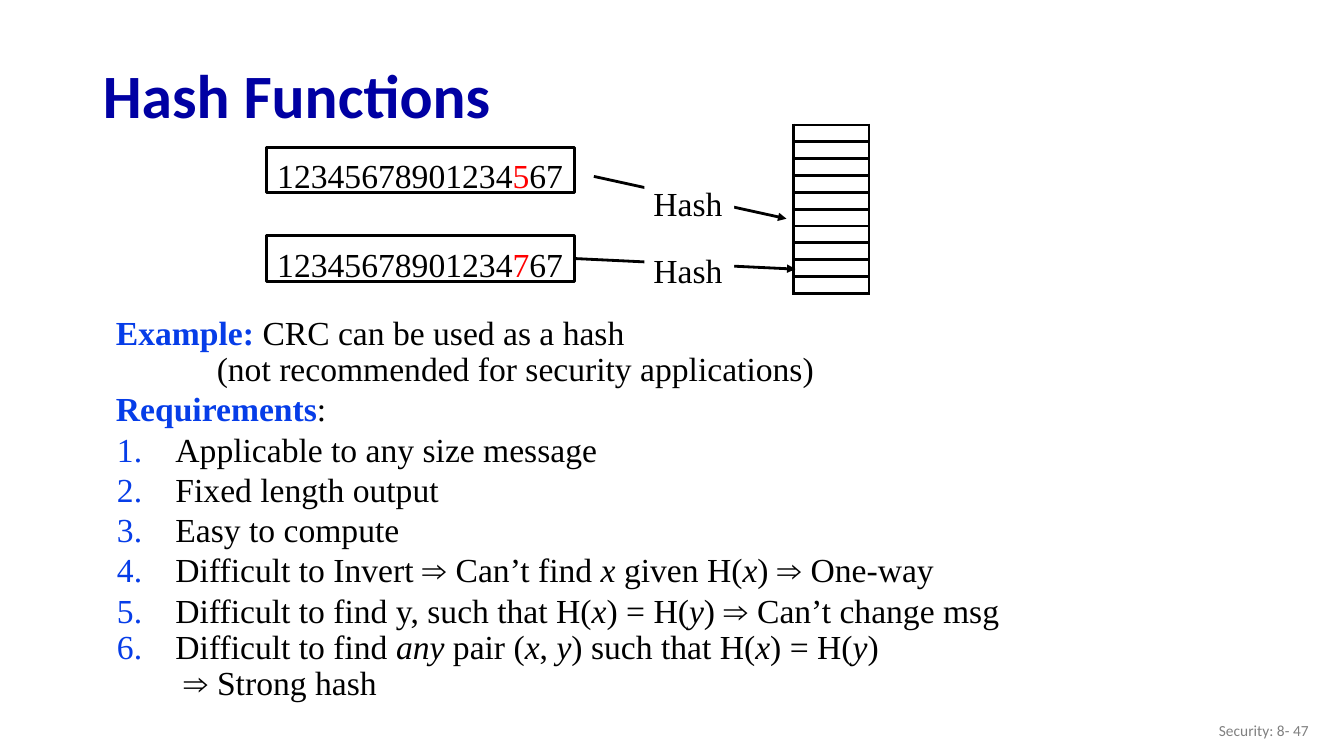
import pptx
import pptx.util
import pptx.dml.color
import pptx.enum.shapes
import pptx.enum.text
import pptx.oxml.ns
from lxml import etree

Inches, Pt = pptx.util.Inches, pptx.util.Pt
WIDTH, HEIGHT = 13.33, 7.5
BLACK, WHITE, NAVY, BLUE, RED, GRAY = "000000", "FFFFFF", "0000A3", "063DE8", "FF0000", "808080"
SERIF, SANS, SYMBOL = "Times New Roman", "Calibri", "Arial"
STYLES = {
    "plain": (SERIF, BLACK, False, False),
    "label": (SERIF, BLUE, True, False),
    "italic": (SERIF, BLACK, False, True),
    "red": (SERIF, RED, False, False),
    "symbol": (SYMBOL, BLACK, False, False),
}
EXAMPLE = [
    ([("Example: ", "label"), ("CRC can be used as a hash", "plain")], 0.01, 25.9),
    ([("(not recommended for security applications)", "plain")], 1.01, 25.9),
    ([("Requirements", "label"), (":", "plain")], 0.01, 28.8),
]
REQUIREMENTS = [
    ([("Applicable to any size message", "plain")], 28.8),
    ([("Fixed length output", "plain")], 28.8),
    ([("Easy to compute", "plain")], 28.8),
    ([("Difficult to Invert ", "plain"), ("⇒ ", "symbol"), ("Can’t find ", "plain"), ("x ", "italic"),
      ("given H(", "plain"), ("x", "italic"), (") ", "plain"), ("⇒ ", "symbol"), ("One-way", "plain")], 28.8),
    ([("Difficult to find y, such that H(", "plain"), ("x", "italic"), (") = H(", "plain"), ("y", "italic"),
      (") ", "plain"), ("⇒ ", "symbol"), ("Can’t change msg", "plain")], 28.8),
    ([("Difficult to find ", "plain"), ("any ", "italic"), ("pair (", "plain"), ("x", "italic"),
      (", ", "plain"), ("y", "italic"), (") such that H(", "plain"), ("x", "italic"),
      (") = H(", "plain"), ("y", "italic"), (")", "plain")], 25.9),
]
CONCLUSION = [("⇒ ", "symbol"), ("Strong hash", "plain")]


def color(value):
    """Return the colour for a hex string."""
    return pptx.dml.color.RGBColor.from_string(value)


def add_element(parent, tag, **attributes):
    """Append a DrawingML element to a parent."""
    return etree.SubElement(parent, pptx.oxml.ns.qn("a:" + tag), attributes)


def format_run(run, size, font, fill, bold=False, italic=False):
    """Give a run its size, font, colour and weight."""
    run.font.size, run.font.name = Pt(size), font
    run.font.bold, run.font.italic = bold, italic
    run.font.color.rgb = color(fill)


def write_runs(paragraph, runs, indent=0, spacing=None):
    """Write styled runs into a left-aligned paragraph."""
    paragraph.alignment = pptx.enum.text.PP_ALIGN.LEFT
    paragraph._p.get_or_add_pPr().set("marL", str(Inches(indent)))
    if spacing:
        paragraph.line_spacing = Pt(spacing)
    for text, style in runs:
        run = paragraph.add_run()
        run.text = text
        format_run(run, 24, *STYLES[style])


def set_frame(shape, left=0, top=0):
    """Wrap a shape's text at the top with the given insets."""
    frame = shape.text_frame
    frame.word_wrap = True
    frame.vertical_anchor = pptx.enum.text.MSO_ANCHOR.TOP
    frame.margin_left, frame.margin_top = Inches(left), Inches(top)
    frame.margin_right = frame.margin_bottom = 0
    return frame


def next_paragraph(frame):
    """Return the empty first paragraph, or a new one."""
    first = frame.paragraphs[0]
    return frame.add_paragraph() if first.runs else first


def add_title(slide, box):
    """Place the slide title in its box."""
    title = slide.shapes.title
    title.left, title.top, title.width, title.height = map(Inches, box)
    title.text_frame.text = "Hash Functions"
    title.text_frame.vertical_anchor = pptx.enum.text.MSO_ANCHOR.MIDDLE
    paragraph = title.text_frame.paragraphs[0]
    paragraph.alignment = pptx.enum.text.PP_ALIGN.LEFT
    paragraph.line_spacing = 0.9
    format_run(paragraph.runs[0], 44, SANS, NAVY, True)


def add_page_label(slide, box):
    """Place the page label at the right of its box."""
    frame = slide.shapes.add_textbox(*map(Inches, box)).text_frame
    frame.text = "Security: 8- 47"
    frame.word_wrap = True
    frame.vertical_anchor = pptx.enum.text.MSO_ANCHOR.MIDDLE
    frame.paragraphs[0].alignment = pptx.enum.text.PP_ALIGN.RIGHT
    format_run(frame.paragraphs[0].runs[0], 11, SANS, GRAY)


def add_example(slide, box):
    """Write the example and the heading of the requirements."""
    frame = set_frame(slide.shapes.add_textbox(*map(Inches, box)), top=0.02)
    for runs, indent, spacing in EXAMPLE:
        write_runs(next_paragraph(frame), runs, indent, spacing)


def add_requirements(slide, box):
    """Write the numbered requirements and their conclusion."""
    frame = set_frame(slide.shapes.add_textbox(*map(Inches, box)), top=0.02)
    for runs, spacing in REQUIREMENTS:
        paragraph = next_paragraph(frame)
        write_runs(paragraph, runs, 0.6, spacing)
        properties = paragraph._p.get_or_add_pPr()
        properties.set("indent", str(Inches(-0.58)))
        add_element(add_element(properties, "buClr"), "srgbClr", val=BLUE)
        add_element(properties, "buFont", typeface=SERIF)
        add_element(properties, "buAutoNum", type="arabicPeriod")
    write_runs(next_paragraph(frame), CONCLUSION, 0.68, 26)


def add_hash_table(slide, box, rows=10):
    """Draw the column of empty hash buckets."""
    table = slide.shapes.add_table(rows, 1, *map(Inches, box)).table
    table.first_row = table.horz_banding = False
    for row in table.rows:
        row.height = Inches(box[3] / rows)
        cell = row.cells[0]
        cell.margin_left = cell.margin_right = cell.margin_top = cell.margin_bottom = 0
        add_element(cell.text_frame.paragraphs[0]._p, "endParaRPr", sz="800")
        properties = cell._tc.get_or_add_tcPr()
        for side in ("lnL", "lnR", "lnT", "lnB"):
            line = add_element(properties, side, w=str(Pt(2.25)))
            add_element(add_element(line, "solidFill"), "srgbClr", val=BLACK)
        cell.fill.background()


def add_box(slide, box):
    """Add a plain rectangle without fill, line or shadow."""
    shape = slide.shapes.add_shape(pptx.enum.shapes.MSO_SHAPE.RECTANGLE, *map(Inches, box))
    shape.shadow.inherit = False
    shape.fill.background()
    shape.line.fill.background()
    return shape


def add_number(slide, box, digit):
    """Draw a framed number whose changed digit is red."""
    shape = add_box(slide, box)
    shape.line.color.rgb, shape.line.width = color(BLACK), Pt(2)
    runs = [("12345678901234", "plain"), (digit, "red"), ("67", "plain")]
    write_runs(set_frame(shape, 0.11, 0.08).paragraphs[0], runs)
    return shape


def add_hash_arrow(slide, start, end, label_box, source=None):
    """Draw an arrow interrupted by its Hash label."""
    straight = pptx.enum.shapes.MSO_CONNECTOR.STRAIGHT
    arrow = slide.shapes.add_connector(straight, *map(Inches, start + end))
    if source is not None:
        arrow.begin_connect(source, 3)
    arrow.line.color.rgb, arrow.line.width = color(BLACK), Pt(2)
    add_element(arrow.line._get_or_add_ln(), "tailEnd", type="triangle", w="med", len="med")
    add_element(arrow._element.spPr, "effectLst")
    label = add_box(slide, label_box)
    label.fill.solid()
    label.fill.fore_color.rgb = color(WHITE)
    write_runs(set_frame(label, 0.09, 0.06).paragraphs[0], [("Hash", "plain")])


def add_diagram(slide, box):
    """Draw two numbers hashed into the table of buckets."""
    left, top, width, height = box
    right = left + width
    add_hash_table(slide, (right - 0.75, top, 0.75, height))
    numbers = [add_number(slide, (left, top + 0.22 + 0.88 * index, 3.06, 0.45), digit)
               for index, digit in enumerate("57")]
    arrows = [((left + 3.25, top + 0.51), (right - 0.82, top + 0.93), None),
              ((left + 3.06, top + 1.33), (right - 0.73, top + 1.43), numbers[1])]
    for index, (start, end, source) in enumerate(arrows):
        label_box = (left + 3.75, top + 0.51 + 0.67 * index, 0.89, 0.51)
        add_hash_arrow(slide, start, end, label_box, source)


def main():
    """Build the slide and save the presentation."""
    presentation = pptx.Presentation()
    presentation.slide_width, presentation.slide_height = Inches(WIDTH), Inches(HEIGHT)
    slide = presentation.slides.add_slide(presentation.slide_layouts[5])
    add_title(slide, (0.92, 0.49, 11.5, 0.98))
    add_page_label(slide, (WIDTH - 3.25, HEIGHT - 0.45, 3, 0.4))
    add_example(slide, (1.14, 3.11, 6.95, 1.15))
    add_requirements(slide, (1.14, 4.23, 8.89, 2.75))
    add_diagram(slide, (2.64, 1.24, 5.98, 1.67))
    presentation.save("out.pptx")


if __name__ == "__main__":
    main()
